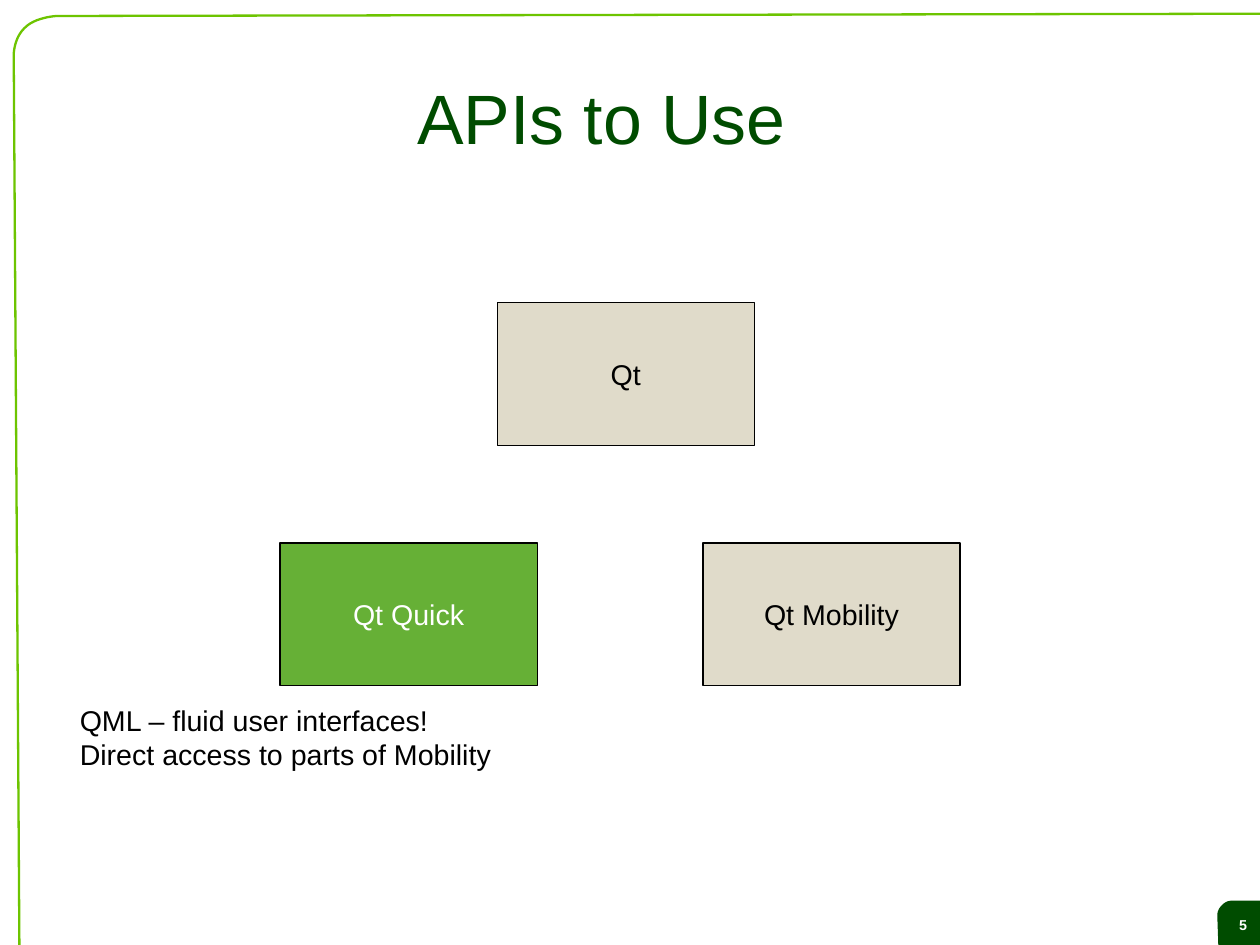
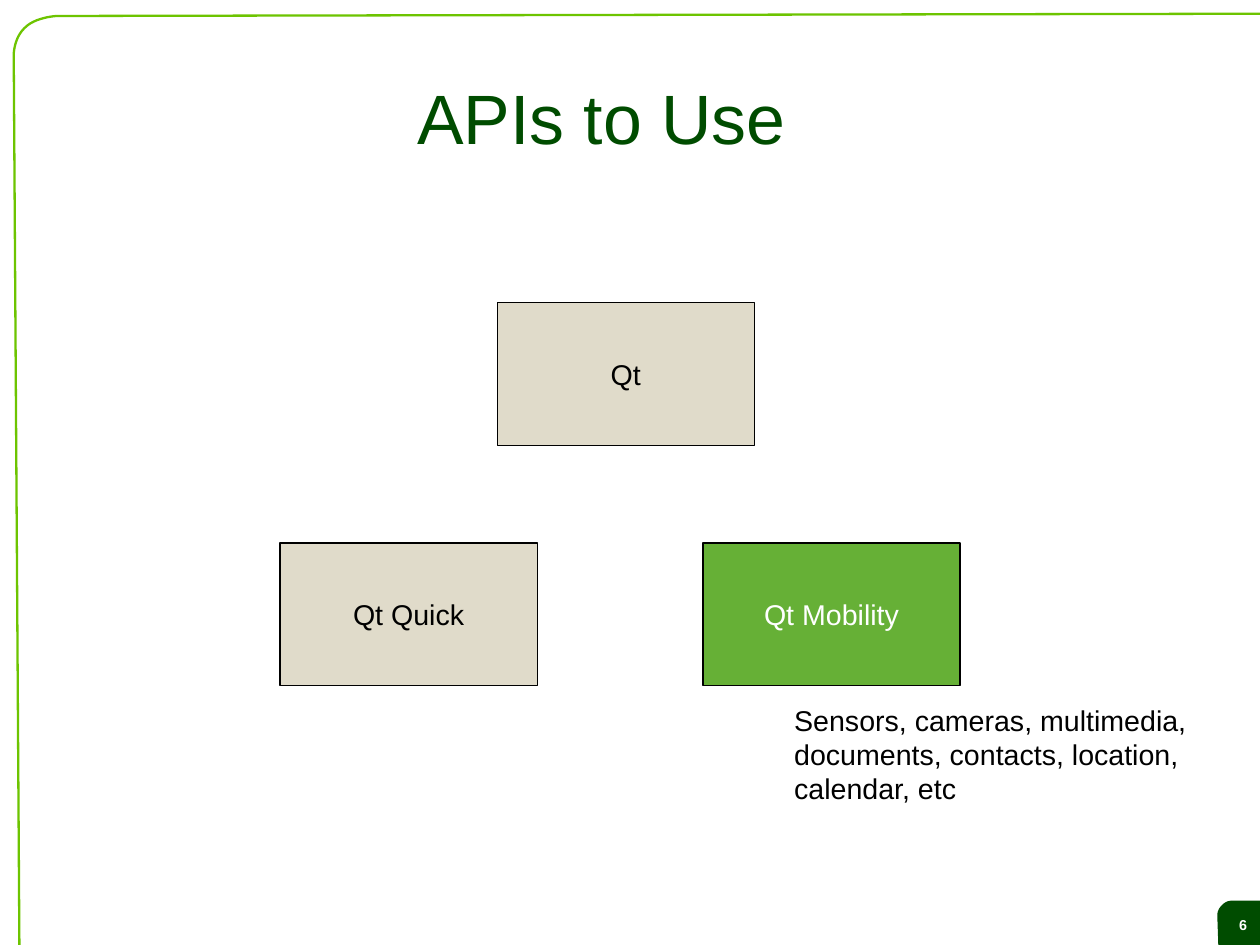
from pptx import Presentation
from pptx.dml.color import RGBColor
from pptx.enum.shapes import MSO_SHAPE
from pptx.enum.text import MSO_ANCHOR, PP_ALIGN
from pptx.util import Cm, Pt

RECT = MSO_SHAPE.RECTANGLE
MID, TOP = MSO_ANCHOR.MIDDLE, MSO_ANCHOR.TOP
LEFT, MIDDLE = PP_ALIGN.LEFT, PP_ALIGN.CENTER

DARK = RGBColor(0x00, 0x4C, 0x00)
LIME = RGBColor(0x6D, 0xC4, 0x00)
GREEN = RGBColor(0x66, 0xB0, 0x36)
SAND = RGBColor(0xE0, 0xDB, 0xCA)
BLACK = RGBColor(0, 0, 0)
WHITE = RGBColor(255, 255, 255)

PX = 9144  # 100 px to the inch
WIDE, HIGH = Cm(28), Cm(21)

# Content
TITLE = "APIs to Use"
BOXES = [("Qt", 435, 265), ("Qt Quick", 245, 475), ("Qt Mobility", 615, 475)]
BOX_W, BOX_H = 225, 125
SLIDES = [
    {"page": 5, "active": "Qt Quick", "at": (60, 610, 380, 66),
     "note": ["QML – fluid user interfaces!",
              "Direct access to parts of Mobility"]},
    {"page": 6, "active": "Qt Mobility", "at": (685, 610, 363, 94),
     "note": ["Sensors, cameras, multimedia,",
              "documents, contacts, location,",
              "calendar, etc"]},
]

# Outlines: two numbers are a line's end, six are a Bézier curve
FRAME = [(1103, 12), (50, 14), (49, 14, 30, 15, 21, 25),
         (12, 34, 12, 48, 12, 48), (17, 827)]
TAB = [(1080, 788), (1110, 788), (1110, 815),
       (1110, 819, 1110, 821, 1107, 825), (1103, 830, 1099, 830, 1094, 831),
       (1066, 830), (1065, 801), (1065, 800, 1065, 796, 1069, 792),
       (1073, 788, 1076, 788, 1080, 788)]

# Text formats
HEAD = {"size": Pt(44), "color": DARK}
BODY = {"size": Pt(18), "color": BLACK}
LIT = {"size": Pt(18), "color": WHITE}
PAGE = {"size": Pt(9), "color": WHITE, "bold": True}


def scale(*nums):
    return [round(n * PX) for n in nums]


def trace(path, steps=12):
    """Turn lines and curves into a list of points."""
    pts = [path[0]]
    for seg in path[1:]:
        if len(seg) == 2:
            pts.append(seg)
            continue
        knots = [pts[-1], seg[:2], seg[2:4], seg[4:]]
        for i in range(1, steps + 1):
            t = i / steps
            mix = ((1 - t) ** 3, 3 * t * (1 - t) ** 2,
                   3 * t * t * (1 - t), t ** 3)
            pts.append(tuple(sum(m * k[a] for m, k in zip(mix, knots))
                             for a in (0, 1)))
    return [scale(*p) for p in pts]


def outline(slide, path, close):
    first, *rest = trace(path)
    pen = slide.shapes.build_freeform(*first, scale=1.0)
    pen.add_line_segments(rest, close=close)
    shape = pen.convert_to_shape()
    shape.shadow.inherit = False
    return shape


def paint(shape, color):
    shape.fill.solid()
    shape.fill.fore_color.rgb = color


def write(shape, lines, form, align=MIDDLE, anchor=MID, pad=(10, 5), wrap=True):
    frame = shape.text_frame
    frame.word_wrap = wrap
    frame.vertical_anchor = anchor
    frame.margin_left = frame.margin_right = pad[0] * PX
    frame.margin_top = frame.margin_bottom = pad[1] * PX
    for i, line in enumerate(lines):
        para = frame.add_paragraph() if i else frame.paragraphs[0]
        para.alignment = align
        run = para.add_run()
        run.text = line
        run.font.name = "Arial"
        for key, val in form.items():
            if key == "color":
                run.font.color.rgb = val
            else:
                setattr(run.font, key, val)


def base(slide, page):
    """Page tab, frame line and title."""
    tab = outline(slide, TAB, True)
    paint(tab, DARK)
    tab.line.fill.background()
    write(tab, [str(page)], PAGE, pad=(11, 6))
    edge = outline(slide, FRAME, False)
    edge.fill.background()
    edge.line.color.rgb = LIME
    edge.line.width = Pt(1.45)
    head = slide.shapes.add_textbox(*scale(168, 38, 717, 128))
    write(head, [TITLE], HEAD, pad=(0, 0))


def main():
    prs = Presentation()
    prs.slide_width, prs.slide_height = WIDE, HIGH
    for data in SLIDES:
        slide = prs.slides.add_slide(prs.slide_layouts[6])
        base(slide, data["page"])
        # API boxes
        for name, x, y in BOXES:
            on = name == data["active"]
            box = slide.shapes.add_shape(RECT, *scale(x, y, BOX_W, BOX_H))
            box.shadow.inherit = False
            paint(box, GREEN if on else SAND)
            box.line.color.rgb = BLACK
            box.line.width = Pt(0)
            write(box, [name], LIT if on else BODY)
        # Note under the active box
        note = slide.shapes.add_textbox(*scale(*data["at"]))
        write(note, data["note"], BODY, LEFT, TOP, wrap=False)
    prs.save("out.pptx")


if __name__ == "__main__":
    main()
